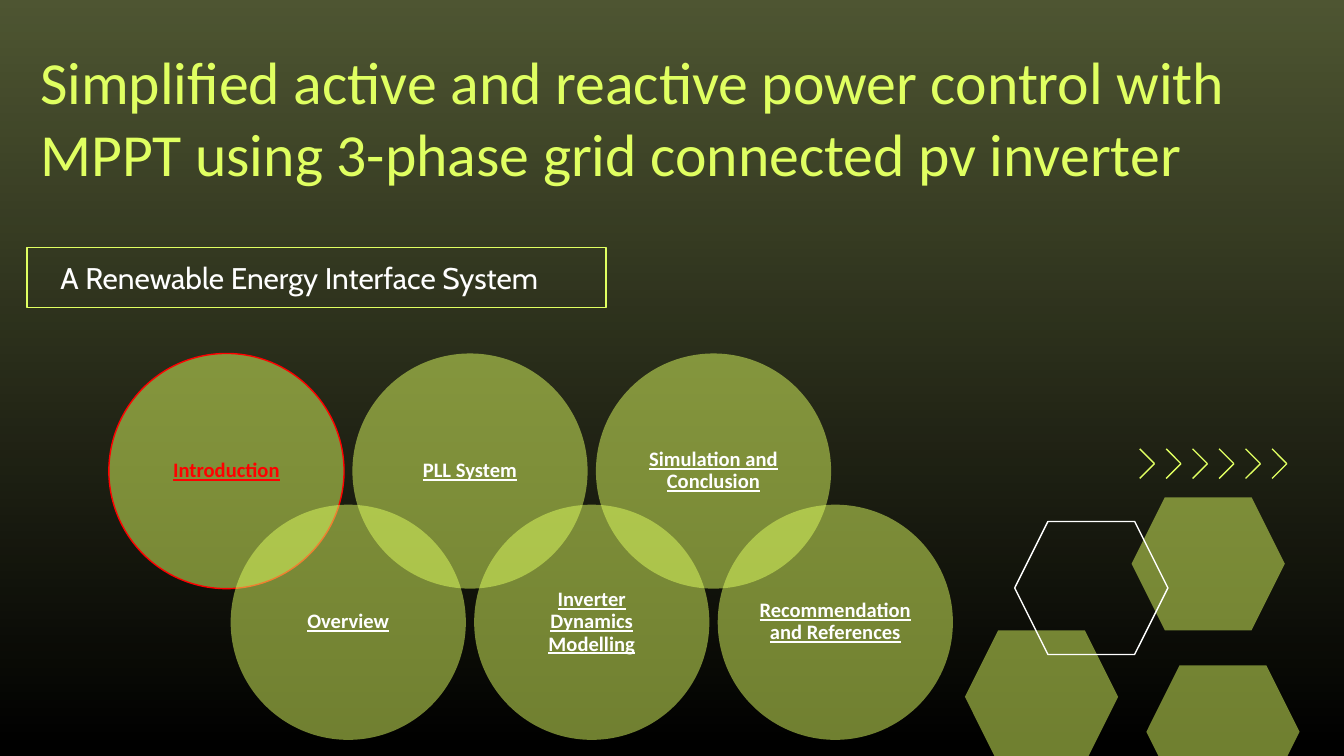
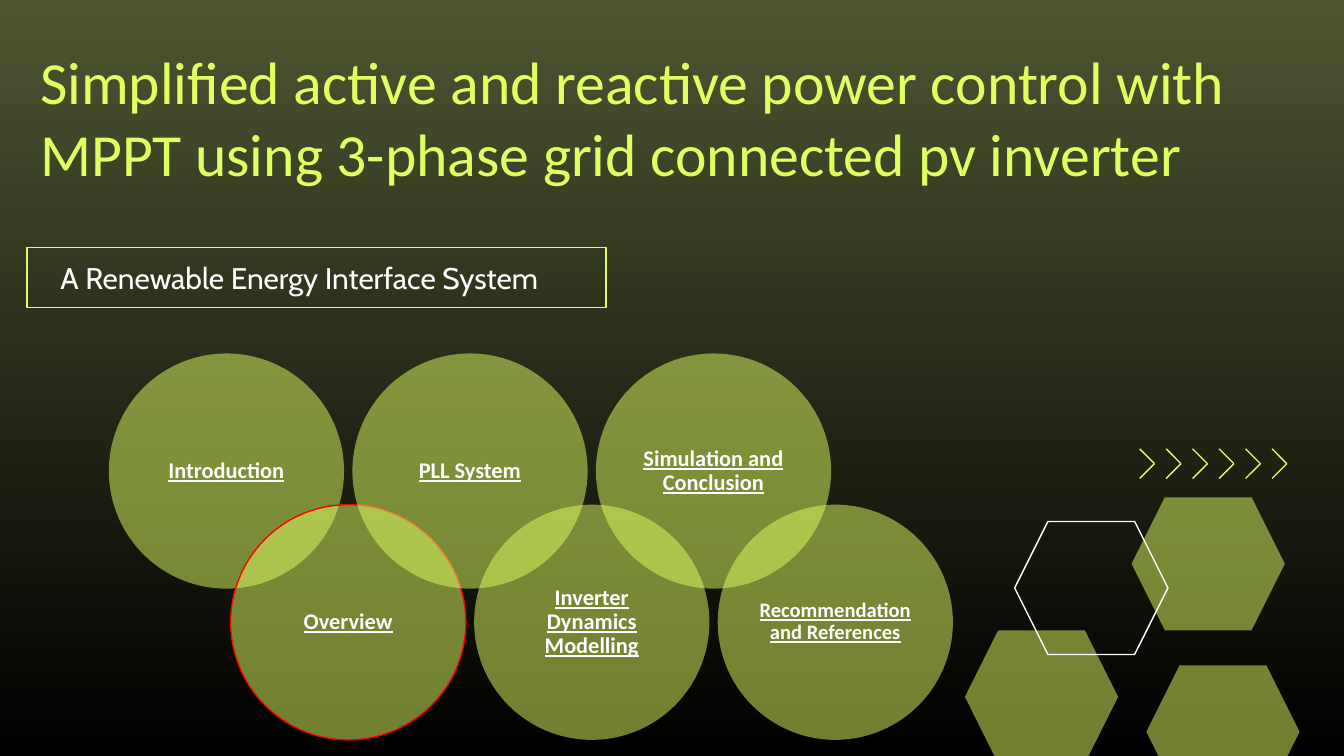
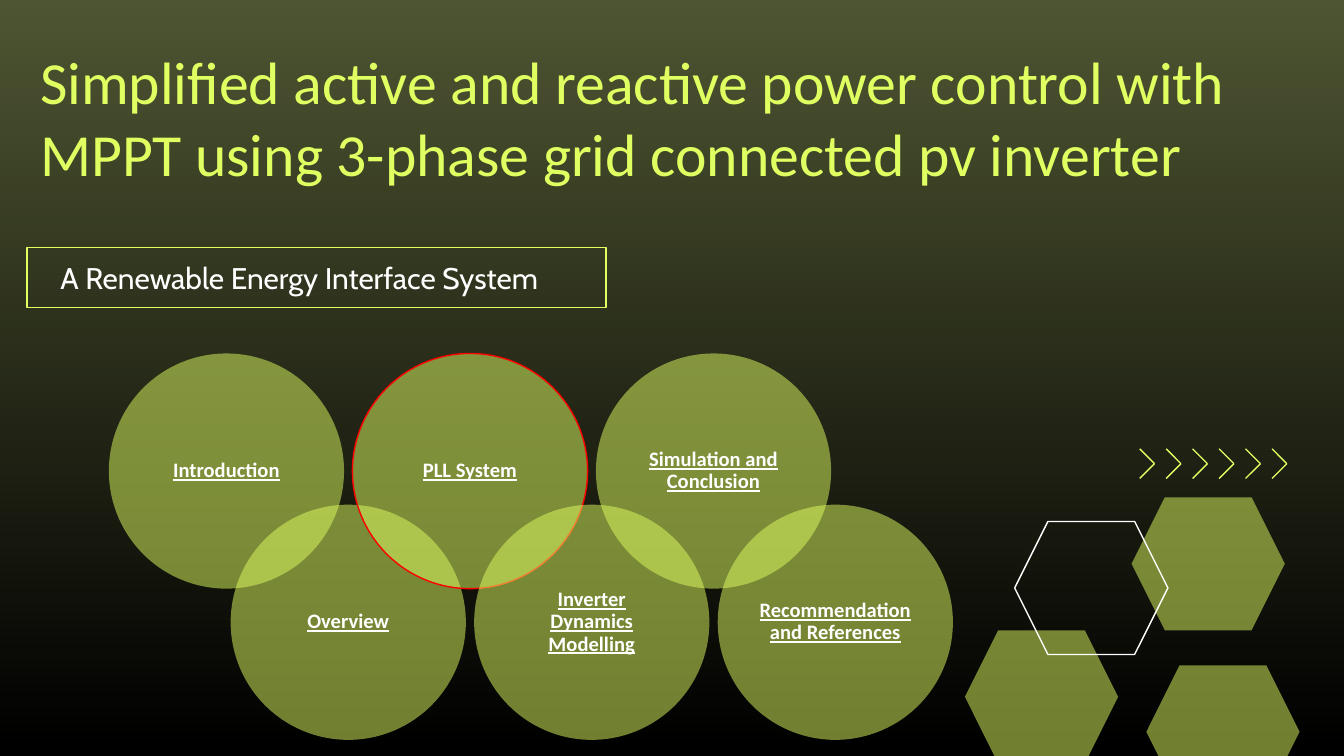
"""Build three topic-map slides for a photovoltaic inverter talk."""
import dataclasses

import lxml.etree
import pptx
import pptx.dml.color
import pptx.enum.shapes
import pptx.enum.text
import pptx.oxml.ns
import pptx.util

SHAPE = pptx.enum.shapes.MSO_SHAPE
ANCHOR = pptx.enum.text.MSO_ANCHOR
ALIGN = pptx.enum.text.PP_ALIGN

COLUMNS, ROWS = 100, 56.25
TITLE = ("Simplified active and reactive power control with "
         "MPPT using 3-phase grid connected pv inverter")
SUBTITLE = "A Renewable Energy Interface System"
TOPICS = ("Introduction", "Overview", "PLL System", "Inverter Dynamics Modelling",
          "Simulation and Conclusion", "Recommendation and References")
SOLID_HEXAGONS = ((85.3, 49.5), (84.2, 37), (71.8, 46.9))
OUTLINED_HEXAGON = (75.5, 38.8)
HEXAGON_SIZE = (11.4, 9.9)


@dataclasses.dataclass(frozen=True)
class Theme:
    """Colours, fonts and type sizes of the deck."""
    lime: str = "E0FF61"
    olive: str = "ABBB6D"
    black: str = "000000"
    white: str = "FFFFFF"
    red: str = "FF0000"
    font: str = "Calibri"
    subtitle_font: str = "Cabin"
    title_size: int = 32
    subtitle_size: int = 16
    topic_size: int = 11
    large_topic_size: int = 12
    line_width: float = 0.75


THEME = Theme()


def cells(count):
    """Convert grid cells to a length; one cell is a tenth of an inch square."""
    return pptx.util.Inches(count / 10)


def rgb(color):
    """Convert a hexadecimal colour string."""
    return pptx.dml.color.RGBColor.from_string(color)


def add_figure(shapes, kind, box, fill=None, opacity=1, line=None):
    """Add a preset shape with an optional translucent fill and outline."""
    figure = shapes.add_shape(kind, *map(cells, box))
    figure.shadow.inherit = False
    if fill:
        figure.fill.solid()
        figure.fill.fore_color.rgb = rgb(fill)
        tint = figure.fill._xPr.find(".//" + pptx.oxml.ns.qn("a:srgbClr"))
        alpha = lxml.etree.SubElement(tint, pptx.oxml.ns.qn("a:alpha"))
        alpha.set("val", str(round(opacity * 100000)))
    else:
        figure.fill.background()
    if line:
        figure.line.color.rgb = rgb(line)
        figure.line.width = pptx.util.Pt(THEME.line_width)
    else:
        figure.line.fill.background()
    return figure


def write_text(holder, text, *, size, color, font=THEME.font, emphasis=False, inset=1,
               anchor=ANCHOR.MIDDLE, align=ALIGN.LEFT, spacing=1, after=0, hanging=None):
    """Write one formatted paragraph into a shape or text box."""
    frame = holder.text_frame
    frame.word_wrap = True
    frame.vertical_anchor = anchor
    frame.margin_left = frame.margin_right = cells(inset)
    frame.margin_top = frame.margin_bottom = cells(inset)
    paragraph = frame.paragraphs[0]
    paragraph.alignment = align
    paragraph.line_spacing = spacing
    paragraph.space_after = pptx.util.Pt(size * after)
    if hanging:
        properties = paragraph._p.get_or_add_pPr()
        for name, count in zip(("marL", "indent"), hanging):
            properties.set(name, str(cells(count)))
    run = paragraph.add_run()
    run.text = text
    run.font.name = font
    run.font.size = pptx.util.Pt(size)
    run.font.color.rgb = rgb(color)
    run.font.bold = run.font.underline = emphasis


def add_backdrop(slide):
    """Paint the darkened gradient and the corner hexagons."""
    background = slide.background.fill
    background.gradient()
    background.gradient_angle = 270
    for stop, color in zip(background.gradient_stops, (THEME.olive, THEME.black)):
        stop.color.rgb = rgb(color)
    add_figure(slide.shapes, SHAPE.RECTANGLE, (0, 0, COLUMNS, ROWS), THEME.black, 0.54)
    for corner in SOLID_HEXAGONS:
        add_figure(slide.shapes, SHAPE.HEXAGON, corner + HEXAGON_SIZE, THEME.lime, 0.5)
    add_figure(slide.shapes, SHAPE.HEXAGON, OUTLINED_HEXAGON + HEXAGON_SIZE, line=THEME.white)


def add_title(slide):
    """Add the talk title."""
    title = slide.shapes.add_textbox(*map(cells, (2, 1.2, 95.9, 13.8)))
    write_text(title, TITLE, size=THEME.title_size, color=THEME.lime, anchor=ANCHOR.BOTTOM)


def add_subtitle(slide):
    """Add the framed subtitle."""
    subtitle = add_figure(slide.shapes, SHAPE.RECTANGLE, (2, 18.4, 43.1, 4.5), line=THEME.lime)
    write_text(subtitle, SUBTITLE, size=THEME.subtitle_size, color=THEME.white,
               font=THEME.subtitle_font, hanging=(5, -3.5))


def add_topic_map(slide, current, sizes, current_color):
    """Add two interlocking rows of topic circles and outline the current one."""
    left, top, diameter, step, drop = 8.1, 26.3, 17.5, 9.06, 11.25
    margin, label_side = 2.6, 12.3
    shapes = slide.shapes.add_group_shape().shapes
    for index, (topic, size) in enumerate(zip(TOPICS, sizes)):
        x, y = left + index * step, top + index % 2 * drop
        is_current = topic == current
        add_figure(shapes, SHAPE.OVAL, (x, y, diameter, diameter), THEME.lime, 0.5,
                   line=THEME.red if is_current else None)
        label = shapes.add_textbox(*map(cells, (x + margin, y + margin, label_side, label_side)))
        write_text(label, topic, size=size, color=current_color if is_current else THEME.white,
                   emphasis=True, inset=0.5, align=ALIGN.CENTER, spacing=0.9, after=0.35)


def add_chevrons(slide):
    """Add the row of six open chevrons."""
    left, middle, step, reach, count = 84.8, 34.5, 1.97, 1.1, 6
    shapes = slide.shapes.add_group_shape().shapes
    for index in range(count):
        x = left + index * step
        for start in (middle - reach, middle + reach):
            stroke = shapes.add_connector(pptx.enum.shapes.MSO_CONNECTOR.STRAIGHT,
                                          *map(cells, (x, start, x + reach, middle)))
            stroke.line.color.rgb = rgb(THEME.lime)
            stroke.line.width = pptx.util.Pt(THEME.line_width)
            lxml.etree.SubElement(stroke._element.spPr, pptx.oxml.ns.qn("a:effectLst"))


def add_topic_slide(deck, current, sizes, current_color=THEME.white):
    """Add one slide that marks the current topic."""
    slide = deck.slides.add_slide(deck.slide_layouts[6])
    add_backdrop(slide)
    add_title(slide)
    add_topic_map(slide, current, sizes, current_color)
    add_chevrons(slide)
    add_subtitle(slide)


def main():
    """Build and save the deck."""
    deck = pptx.Presentation()
    deck.slide_width, deck.slide_height = cells(COLUMNS), cells(ROWS)
    regular = [THEME.topic_size] * len(TOPICS)
    enlarged = [THEME.large_topic_size] * (len(TOPICS) - 1) + [THEME.topic_size]
    add_topic_slide(deck, "Introduction", regular, THEME.red)
    add_topic_slide(deck, "Overview", enlarged)
    add_topic_slide(deck, "PLL System", regular)
    deck.save("out.pptx")


if __name__ == "__main__":
    main()
